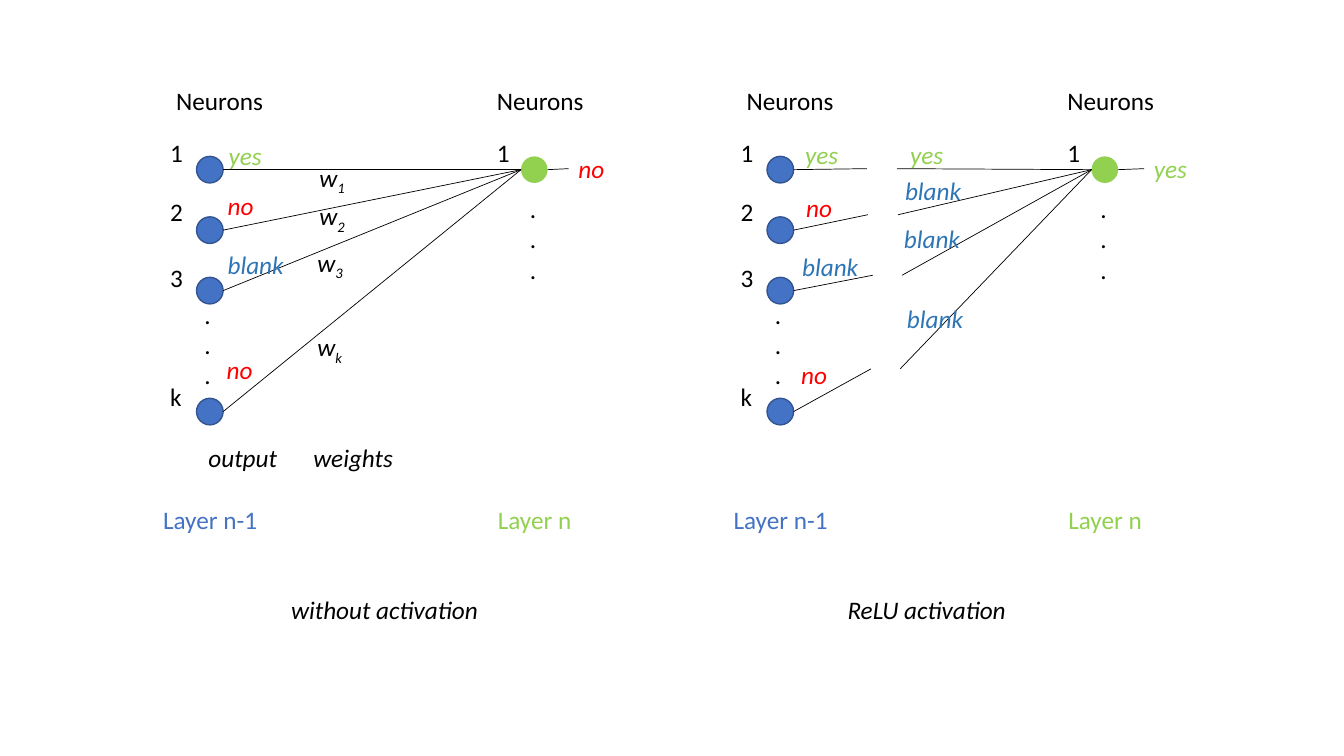
from lxml.etree import SubElement
from pptx import Presentation
from pptx.dml.color import RGBColor
from pptx.enum.shapes import MSO_CONNECTOR, MSO_SHAPE
from pptx.enum.text import MSO_AUTO_SIZE
from pptx.oxml.ns import qn
from pptx.util import Pt

BLACK = RGBColor(0x00, 0x00, 0x00)
BLUE = RGBColor(0x44, 0x72, 0xC4)
DARK_BLUE = RGBColor(0x32, 0x54, 0x91)
LABEL_BLUE = RGBColor(0x2E, 0x75, 0xB6)
GREEN = RGBColor(0x92, 0xD0, 0x50)
RED = RGBColor(0xFF, 0x00, 0x00)

DIAMETER = 19
INPUT_LEFT, OUTPUT_LEFT = 140.4, 372.2
FIRST_CENTER, ROW_STEP = 121.2, 43.2
CENTERS = [FIRST_CENTER + ROW_STEP * row for row in (0, 1, 2, 4)]
INPUT_EDGE = INPUT_LEFT + DIAMETER
OUTPUT_EDGE = OUTPUT_LEFT + DIAMETER
PANEL_STEP = 407.5

# Each answer has its colour and box width
ANSWERS = {"yes": (GREEN, 38.2), "no": (RED, 33.1), "blank": (LABEL_BLUE, 54.7)}


class Diagram:
    """Draws on one slide, with x measured from the current panel."""

    font_name = "Calibri"
    font_size = Pt(18)

    def __init__(self, slide):
        self.shapes = slide.shapes
        self.panel_left = 0

    def x(self, left):
        return Pt(self.panel_left + left)

    def text(self, text, left, top, width, color=BLACK, italic=False, subscript=""):
        lines = text.split("\n")
        height = 7.5 + 21.6 * len(lines)
        box = self.shapes.add_textbox(self.x(left), Pt(top), Pt(width), Pt(height))
        frame = box.text_frame
        frame.word_wrap = False
        frame.auto_size = MSO_AUTO_SIZE.SHAPE_TO_FIT_TEXT
        for number, line in enumerate(lines):
            paragraph = frame.add_paragraph() if number else frame.paragraphs[0]
            for part in filter(None, (line, subscript)):
                run = paragraph.add_run()
                run.text = part
                run.font.name = self.font_name
                run.font.size = self.font_size
                run.font.italic = italic
                run.font.color.rgb = color
        if subscript:
            run._r.get_or_add_rPr().set("baseline", "-25000")

    def answer(self, word, left, top):
        color, width = ANSWERS[word]
        self.text(word, left, top, width, color=color, italic=True)

    def neuron(self, left, center, fill, outline=None):
        shape = self.shapes.add_shape(
            MSO_SHAPE.OVAL, self.x(left), Pt(center - DIAMETER / 2),
            Pt(DIAMETER), Pt(DIAMETER))
        shape.shadow.inherit = False
        shape.fill.solid()
        shape.fill.fore_color.rgb = fill
        if outline is None:
            shape.line.fill.background()
        else:
            shape.line.color.rgb = outline
            shape.line.width = Pt(1)

    def line(self, start, end):
        connector = self.shapes.add_connector(
            MSO_CONNECTOR.STRAIGHT, self.x(start[0]), Pt(start[1]),
            self.x(end[0]), Pt(end[1]))
        connector.line.color.rgb = BLACK
        connector.line.width = Pt(0.5)
        SubElement(connector._element.spPr, qn("a:effectLst"))

    def layers(self):
        """Draws the neurons and labels that both panels share."""
        for center in CENTERS:
            self.neuron(INPUT_LEFT, center, BLUE, DARK_BLUE)
        self.neuron(OUTPUT_LEFT, FIRST_CENTER, GREEN)
        for index, top in zip("123k", (94.3, 136.8, 183.6, 268.6)):
            self.text(index, 114.5, top, 23.8)
        self.text("1", 347.8, 94.3, 23.8)
        for left in (118.8, 347.8):
            self.text("Neurons", left, 57.6, 77)
        for left, top in ((139, 210.2), (371.5, 134.6)):
            self.text(".\n.\n.", left, top, 19.4)
        self.text("Layer n-1", 109.4, 356.4, 82.8, color=BLUE)
        self.text("Layer n", 348.5, 356.4, 67.7, color=GREEN)


def draw_without_activation(diagram):
    diagram.layers()
    for center in CENTERS:
        diagram.line((INPUT_EDGE, center), (OUTPUT_LEFT, FIRST_CENTER))
    diagram.line((OUTPUT_EDGE, FIRST_CENTER), (406.1, 120.5))
    for index, left, top in (("1", 221, 112.3), ("2", 221, 139.7),
                             ("3", 219.6, 172.8), ("k", 219.6, 233.3)):
        diagram.text("w", left, top, 33.8, italic=True, subscript=index)
    for word, left, top in (("yes", 156.2, 96.5), ("no", 155.5, 132.5),
                            ("blank", 155.5, 174.2), ("no", 154.8, 249.8),
                            ("no", 406.1, 105.8)):
        diagram.answer(word, left, top)
    diagram.text("output", 141.8, 312.5, 64.1, italic=True)
    diagram.text("weights", 216.7, 312.5, 72, italic=True)
    diagram.text("without activation", 200.9, 421.2, 149.8, italic=True)


def draw_relu_activation(diagram):
    diagram.layers()
    gaps = ((211.7, 233.3, 120.5), (212.4, 234, 153.4),
            (216, 236.9, 196.6), (214.6, 235.5, 263.5))
    for center, (gap_left, gap_right, gap_y) in zip(CENTERS, gaps):
        diagram.line((INPUT_EDGE, center), (gap_left, gap_y))
        diagram.line((gap_right, gap_y), (OUTPUT_LEFT, FIRST_CENTER))
    diagram.line((OUTPUT_EDGE, FIRST_CENTER), (409.7, 120.5))
    for word, left, top in (("yes", 160.6, 95.8), ("no", 161.3, 133.9),
                            ("blank", 158.4, 175.7), ("no", 157.7, 253.4),
                            ("yes", 235.5, 95.8), ("blank", 231.9, 121.7),
                            ("blank", 231.1, 156.2), ("blank", 233.3, 213.1),
                            ("yes", 409.7, 105.8)):
        diagram.answer(word, left, top)
    diagram.text("ReLU activation", 190.8, 421.2, 128.9, italic=True)


def main():
    presentation = Presentation()
    presentation.slide_width = Pt(960)
    presentation.slide_height = Pt(540)
    slide = presentation.slides.add_slide(presentation.slide_layouts[6])
    diagram = Diagram(slide)
    draw_without_activation(diagram)
    diagram.panel_left = PANEL_STEP
    draw_relu_activation(diagram)
    presentation.save("out.pptx")


if __name__ == "__main__":
    main()
